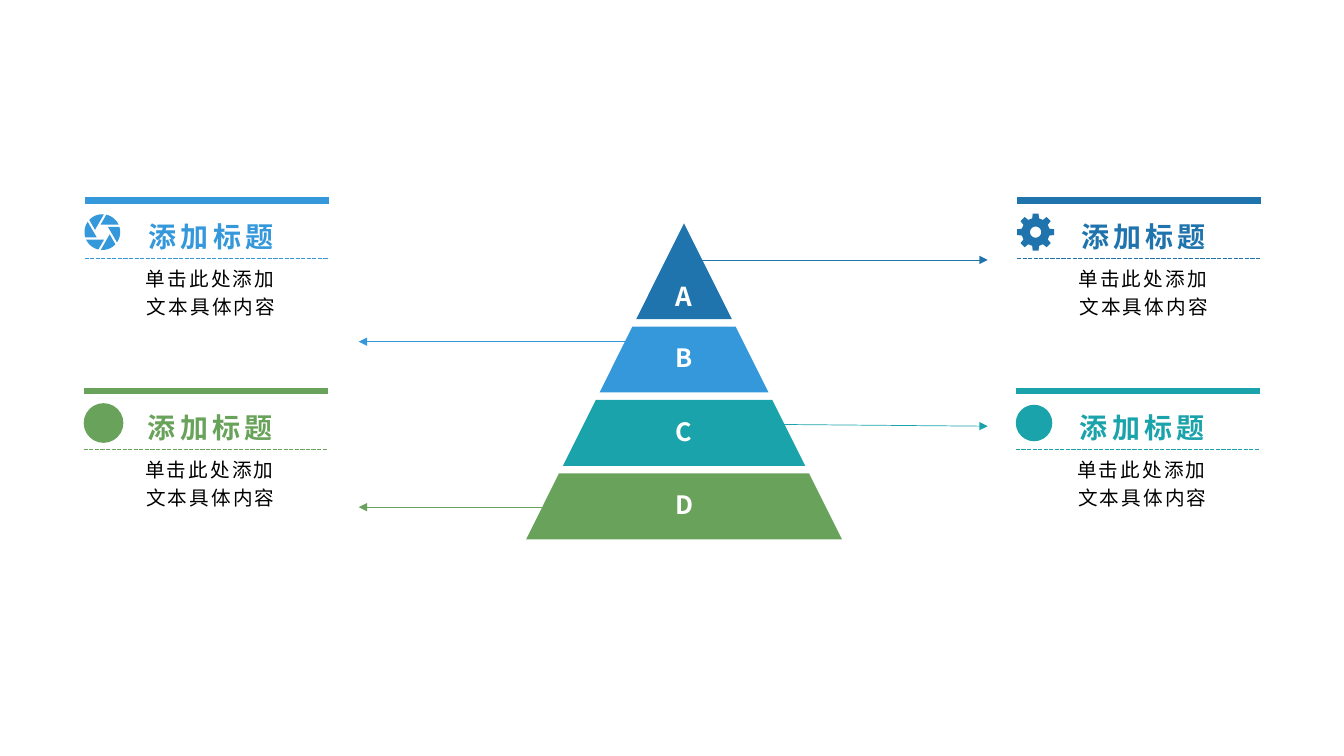
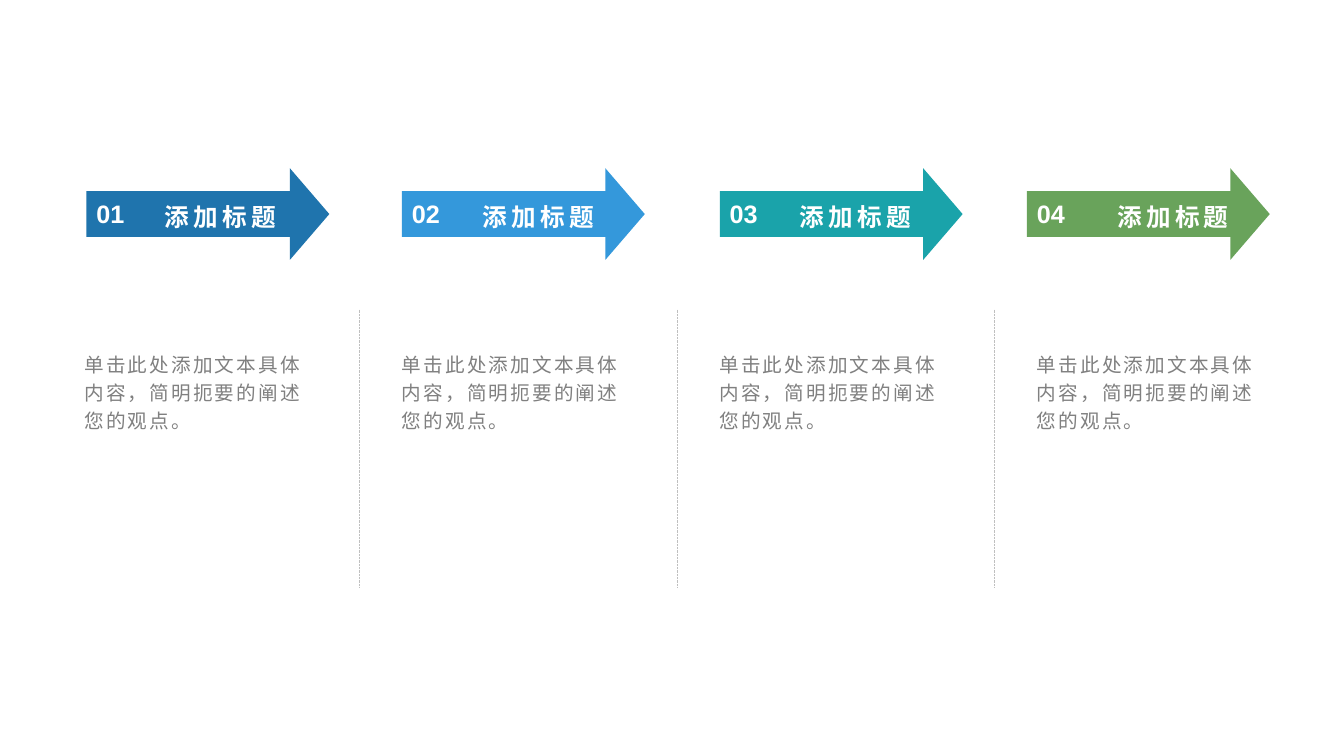
from math import cos, radians, sin

from lxml import etree
from pptx import Presentation
from pptx.dml.color import RGBColor
from pptx.enum.dml import MSO_LINE
from pptx.enum.shapes import MSO_CONNECTOR, MSO_SHAPE
from pptx.enum.text import MSO_ANCHOR, PP_ALIGN
from pptx.oxml.ns import qn
from pptx.util import Cm, Pt

STRAIGHT = MSO_CONNECTOR.STRAIGHT
OVAL, RIGHT_ARROW = MSO_SHAPE.OVAL, MSO_SHAPE.RIGHT_ARROW
SYS_DASH = MSO_LINE.SQUARE_DOT
TOP, MIDDLE, BOTTOM = MSO_ANCHOR.TOP, MSO_ANCHOR.MIDDLE, MSO_ANCHOR.BOTTOM
LEFT, CENTER = PP_ALIGN.LEFT, PP_ALIGN.CENTER

NAVY, SKY, TEAL, GREEN = "1F74AD", "3498DB", "1AA3AA", "69A35B"
WHITE, BLACK, GREY, SILVER = "FFFFFF", "000000", "808080", "BFBFBF"
CJK, LATIN = "Noto Sans CJK SC", "Arial"
HEADING = "添加标题"
CARD_TEXT = "单击此处添加文本具体内容"
STEP_TEXT = "单击此处添加文本具体内容，简明扼要的阐述您的观点。"


def rgb(color):
    """Turn a hex string into a colour."""
    return RGBColor.from_string(color)


def paint(shape, color):
    """Give a shape a plain fill without outline or shadow."""
    shape.shadow.inherit = False
    shape.fill.solid()
    shape.fill.fore_color.rgb = rgb(color)
    shape.line.fill.background()
    return shape


def write(frame, text, size, color, font=CJK, bold=False, align=CENTER,
          spacing=1.0, tracking=0, anchor=TOP, insets=(0.25, 0.13, 0.25, 0.13)):
    """Write one formatted run into a text frame."""
    frame.word_wrap = True
    frame.vertical_anchor = anchor
    (frame.margin_left, frame.margin_top,
     frame.margin_right, frame.margin_bottom) = map(Cm, insets)
    paragraph = frame.paragraphs[0]
    paragraph.alignment = align
    paragraph.line_spacing = spacing
    run = paragraph.add_run()
    run.text = text
    run.font.size = Pt(size)
    run.font.bold = bold
    run.font.color.rgb = rgb(color)
    run.font.name = font
    properties = run.font._element
    if tracking:
        properties.set("spc", str(round(tracking * 100)))
    etree.SubElement(properties, qn("a:ea")).set("typeface", CJK)


def text_box(slide, box, text, size, color, **style):
    """Place a wrapped text box."""
    frame = slide.shapes.add_textbox(*map(Cm, box)).text_frame
    write(frame, text, size, color, **style)


def rule(slide, start, end, color, width, dash=None, arrow=False):
    """Draw a straight line, optionally dashed or with an arrowhead."""
    connector = slide.shapes.add_connector(STRAIGHT, *map(Cm, start + end))
    connector.line.color.rgb = rgb(color)
    connector.line.width = Pt(width)
    if dash:
        connector.line.dash_style = dash
    if arrow:
        etree.SubElement(connector.line._get_or_add_ln(), qn("a:tailEnd")).set("type", "triangle")
    etree.SubElement(connector._element.spPr, qn("a:effectLst"))


def outline(slide, contours, color):
    """Draw closed contours as a single filled shape."""
    contours = [[(Cm(x), Cm(y)) for x, y in contour] for contour in contours]
    builder = slide.shapes.build_freeform(*contours[0][0])
    for index, contour in enumerate(contours):
        if index:
            builder.move_to(*contour[0])
        builder.add_line_segments(contour[1:], close=True)
    return paint(builder.convert_to_shape(), color)


def polar(center, radius, angle):
    """Find the point at a radius and an angle in degrees."""
    return (center[0] + radius * cos(radians(angle)),
            center[1] + radius * sin(radians(angle)))


def disc_icon(slide, center, radius, color):
    """Draw a plain disc."""
    box = center[0] - radius, center[1] - radius, 2 * radius, 2 * radius
    paint(slide.shapes.add_shape(OVAL, *map(Cm, box)), color)


def gear_icon(slide, center, radius, color):
    """Draw an eight-toothed gear with a round hole."""
    tooth = (-14, 0.76), (-9, 1), (9, 1), (14, 0.76)
    rim = [polar(center, radius * reach, 45 * k + turn)
           for k in range(8) for turn, reach in tooth]
    hole = [polar(center, radius * 0.3, -15 * k) for k in range(24)]
    outline(slide, [rim, hole], color)


def shutter_icon(slide, center, radius, color):
    """Draw six shutter blades around an opening."""
    blades = []
    for k in range(6):
        first = -85 - 60 * k
        arc = [polar(center, radius, first - 6.5 * step) for step in range(9)]
        blades.append(arc + [polar(center, radius * 0.43, first - 78)])
    outline(slide, blades, color)


def pyramid(slide, center, top):
    """Stack four lettered tiers with equal gaps."""
    gap, offset = 0.19, 0
    tiers = (("A", NAVY, 2.41, 18.6, BOTTOM), ("B", SKY, 1.66, 18, TOP),
             ("C", TEAL, 1.66, 18, TOP), ("D", GREEN, 1.66, 18, TOP))
    for letter, color, height, size, anchor in tiers:
        base = offset + height
        corners = [(center - offset / 2, top + offset), (center + offset / 2, top + offset),
                   (center + base / 2, top + base), (center - base / 2, top + base)]
        tier = outline(slide, [corners if offset else corners[1:]], color)
        write(tier.text_frame, letter, size, WHITE, bold=True, spacing=1.3,
              anchor=anchor, insets=(0.33, 0.18, 0.33, 0.18))
        offset = base + gap


def card(slide, left, top, color, icon, radius):
    """Place a ruled card with icon, heading and text."""
    right = left + 6.15
    rule(slide, (left, top), (right, top), color, 4.5)
    rule(slide, (left, top + 1.47), (right, top + 1.47), color, 1, SYS_DASH)
    icon(slide, (left + radius, top + 0.8), radius, color)
    text_box(slide, (left + 1.03, top + 0.14, 4.32, 1.27), HEADING, 20, color,
             bold=True, spacing=1.3, tracking=3, anchor=MIDDLE)
    text_box(slide, (left + 1.03, top + 1.55, 4.32, 2.45), CARD_TEXT, 14, BLACK,
             spacing=1.2, tracking=1.5, insets=(0.25, 0, 0.25, 0.13))


def pyramid_slide(slide):
    """Build the pyramid with four cards and their arrows."""
    pyramid(slide, 17.24, 5.63)
    for start, end, color in (((17.37, 6.55), (24.89, 6.55), NAVY),
                              ((15.8, 8.61), (9.04, 8.61), SKY),
                              ((18.97, 10.69), (24.89, 10.74), TEAL),
                              ((15.8, 12.78), (9.04, 12.78), GREEN)):
        rule(slide, start, end, color, 0.5, arrow=True)
    card(slide, 25.63, 5.05, NAVY, gear_icon, 0.47)
    card(slide, 2.13, 5.05, SKY, shutter_icon, 0.45)
    card(slide, 25.6, 9.86, TEAL, disc_icon, 0.46)
    card(slide, 2.11, 9.86, GREEN, disc_icon, 0.5)


def step(slide, number, left, arrow_left, color):
    """Place a numbered arrow above its text."""
    arrow = paint(slide.shapes.add_shape(
        RIGHT_ARROW, *map(Cm, (arrow_left, 4.24, 6.12, 2.31))), color)
    arrow.adjustments[0], arrow.adjustments[1] = 0.5, 0.43
    text_box(slide, (arrow_left, 4.88, 1.27, 1.02), f"{number:02}", 18, WHITE,
             font=LATIN, bold=True, align=LEFT)
    text_box(slide, (left + 1.52, 4.8, 4.32, 1.22), HEADING, 17.6, WHITE,
             font=LATIN, bold=True, spacing=1.2, tracking=3)
    text_box(slide, (left, 8.64, 6.12, 5.13), STEP_TEXT, 14, GREY,
             font=LATIN, align=LEFT, spacing=1.2, tracking=1.5)


def steps_slide(slide):
    """Build four steps with dotted dividers between them."""
    arrows = zip((2.18, 10.13, 18.14, 25.88), (NAVY, SKY, TEAL, GREEN))
    for index, (arrow_left, color) in enumerate(arrows):
        left = 1.88 + 8 * index
        step(slide, index + 1, left, arrow_left, color)
        if index:
            divider = left - 0.82
            rule(slide, (divider, 7.8), (divider, 14.81), SILVER, 0.25, SYS_DASH)


def main():
    """Build and save the presentation."""
    deck = Presentation()
    deck.slide_width, deck.slide_height = Cm(33.87), Cm(19.05)
    blank = deck.slide_layouts[6]
    for build in (pyramid_slide, steps_slide):
        build(deck.slides.add_slide(blank))
    deck.save("out.pptx")


main()
